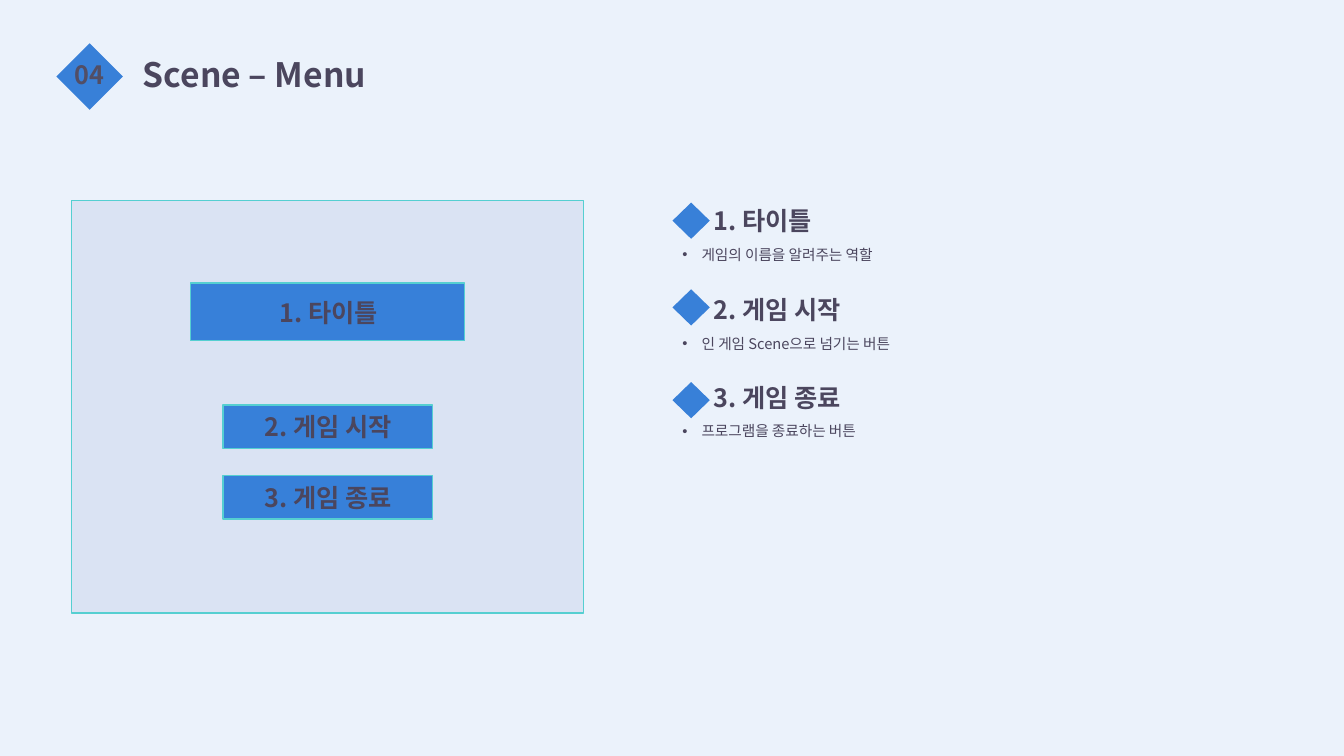
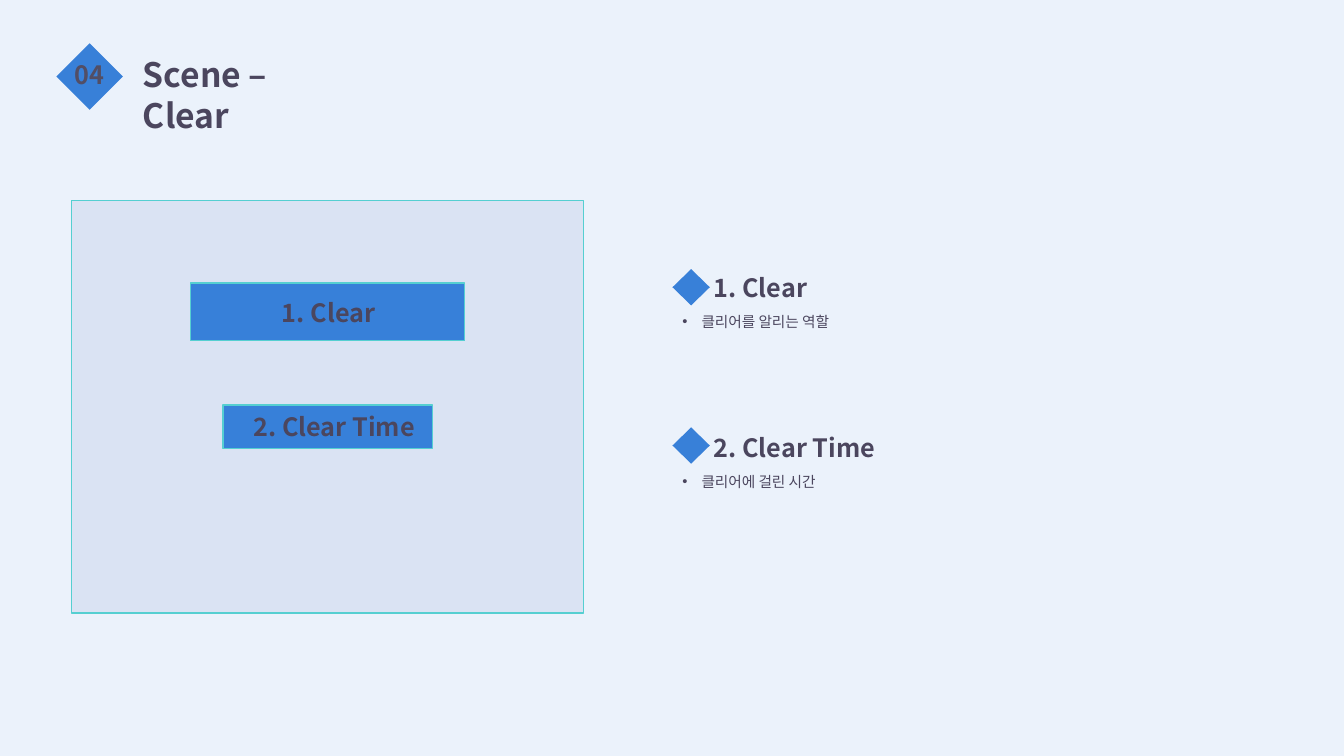
import pptx
import pptx.util
import pptx.dml.color
import pptx.enum.shapes
import pptx.enum.text
import lxml.etree

Inches = pptx.util.Inches
Pt = pptx.util.Pt
SHAPE = pptx.enum.shapes.MSO_SHAPE
ALIGN = pptx.enum.text.PP_ALIGN
ANCHOR = pptx.enum.text.MSO_ANCHOR
FONT = "Noto Sans CJK KR"
COLORS = {
    "background": "EBF2FB",
    "diamond": "3880D8",
    "button": "3780D9",
    "border": "55CFD1",
    "panel": "DAE3F3",
    "text": "4B465E",
    "number": "524E65",
}


def rgb(name):
    return pptx.dml.color.RGBColor.from_string(COLORS[name])


def write(tf, text, size=18, color="text", bold=True, align=ALIGN.LEFT,
          before=6, margin=0, bullet=None):
    p = tf.paragraphs[0]
    p.alignment = align
    p.space_before = Pt(before)
    p_pr = p._p.get_or_add_pPr()
    if margin:
        p_pr.set("marL", str(Inches(margin)))
    if bullet:
        p_pr.set("indent", str(-Inches(margin)))
        ns = pptx.oxml.ns.qn
        lxml.etree.SubElement(p_pr, ns("a:buFont")).set("typeface", "Arial")
        lxml.etree.SubElement(p_pr, ns("a:buChar")).set("char", bullet)
    r = p.add_run()
    r.text = text
    r.font.name = FONT
    r.font.size = Pt(size)
    r.font.bold = bold
    r.font.color.rgb = rgb(color)
    r_pr = r._r.get_or_add_rPr()
    ea = lxml.etree.SubElement(r_pr, pptx.oxml.ns.qn("a:ea"))
    ea.set("typeface", FONT)


class Deck:
    def __init__(self):
        self.prs = pptx.Presentation()
        self.prs.slide_width = Inches(13.33)
        self.prs.slide_height = Inches(7.5)
        self.s = None

    def shape(self, kind, x, y, w, h, fill, line=None):
        sp = self.s.shapes.add_shape(
            kind, Inches(x), Inches(y), Inches(w), Inches(h))
        sp.shadow.inherit = False
        sp.fill.solid()
        sp.fill.fore_color.rgb = rgb(fill)
        if line:
            sp.line.color.rgb = rgb(line)
            sp.line.width = Pt(1)
        else:
            sp.line.fill.background()
        return sp

    def text(self, x, y, w, h, text, anchor=ANCHOR.TOP, **fmt):
        sp = self.s.shapes.add_textbox(
            Inches(x), Inches(y), Inches(w), Inches(h))
        tf = sp.text_frame
        tf.word_wrap = True
        tf.vertical_anchor = anchor
        write(tf, text, **fmt)

    def slide(self, number, title, title_width):
        self.s = self.prs.slides.add_slide(self.prs.slide_layouts[6])
        fill = self.s.background.fill
        fill.solid()
        fill.fore_color.rgb = rgb("background")
        self.shape(SHAPE.DIAMOND, 0.56, 0.43, 0.66, 0.66, "diamond")
        self.text(0.63, 0.54, 0.52, 0.43, number, color="number",
                  align=ALIGN.CENTER, before=0)
        self.text(1.32, 0.49, title_width, 0.5, title, size=24)
        self.shape(SHAPE.RECTANGLE, 0.71, 1.99, 5.08, 4.09, "panel", "border")

    def button(self, x, y, w, h, label, label_x, label_w):
        self.shape(SHAPE.RECTANGLE, x, y, w, h, "button", "border")
        self.text(label_x, y + (h - 0.4) / 2, label_w, 0.4, label,
                  anchor=ANCHOR.MIDDLE, align=ALIGN.CENTER)

    def item(self, y, diamond_y, heading, note):
        self.text(6.67, y, 3.11, 0.4, heading, margin=0.31)
        self.text(6.67, y + 0.4, 4.87, 0.28, note, size=10.5, bold=False,
                  margin=0.19, bullet="•")
        self.shape(SHAPE.DIAMOND, 6.67, diamond_y, 0.37, 0.36, "diamond")


TITLE_BUTTON = (1.89, 2.81, 2.72, 0.57)
FIRST_BUTTON = (2.21, 4.02, 2.08, 0.43)
SECOND_BUTTON = (2.21, 4.72, 2.08, 0.43)

SLIDES = [
    ("Scene – Menu", 2.47, [
        (TITLE_BUTTON, 2.55, 1.42, 1.99, 2.01,
         "1. 타이틀", "게임의 이름을 알려주는 역할"),
        (FIRST_BUTTON, 2.45, 1.61, 2.87, 2.87,
         "2. 게임 시작", "인 게임 Scene으로 넘기는 버튼"),
        (SECOND_BUTTON, 2.45, 1.61, 3.74, 3.79,
         "3. 게임 종료", "프로그램을 종료하는 버튼"),
    ]),
    ("Scene – Clear", 2.3, [
        (TITLE_BUTTON, 2.55, 1.42, 2.65, 2.67,
         "1. Clear", "클리어를 알리는 역할"),
        (FIRST_BUTTON, 2.39, 1.85, 4.24, 4.24,
         "2. Clear Time", "클리어에 걸린 시간"),
    ]),
]

deck = Deck()
for title, title_width, items in SLIDES:
    deck.slide("04", title, title_width)
    for box, label_x, label_w, y, diamond_y, heading, note in items:
        deck.button(*box, heading, label_x, label_w)
        deck.item(y, diamond_y, heading, note)
deck.prs.save("out.pptx")
